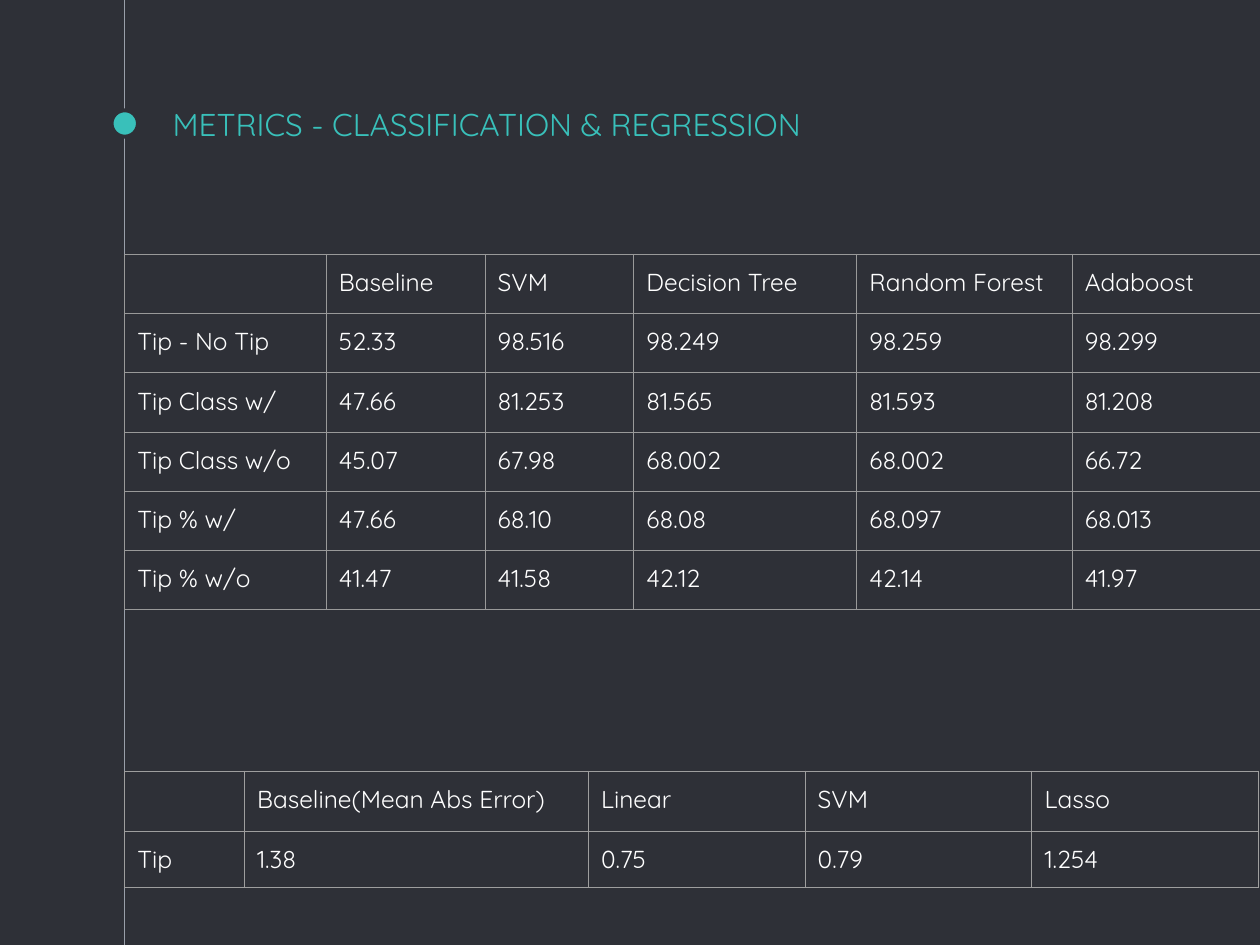
import dataclasses

import lxml.etree
import pptx
import pptx.dml.color
import pptx.enum.shapes
import pptx.enum.text
import pptx.oxml.ns
import pptx.util

Inches = pptx.util.Inches
Pt = pptx.util.Pt
qn = pptx.oxml.ns.qn


@dataclasses.dataclass(frozen=True)
class Theme:
    font: str = "Quicksand"
    background: str = "2E3037"
    accent: str = "39C0BA"
    text: str = "FFFFFF"
    timeline: str = "999FA9"
    classification_grid: str = "999999"
    regression_grid: str = "9E9E9E"
    title_size: float = 18
    table_size: float = 14
    hairline: float = 0.75
    marker_outline: float = 2.25
    inset: float = 0.1


THEME = Theme()
WIDTH, HEIGHT = 10, 7.5
AXIS = 0.99  # the timeline and the left edge of both tables

CLASSIFICATION = [
    ["", "Baseline", "SVM", "Decision Tree", "Random Forest", "Adaboost"],
    ["Tip - No Tip", "52.33", "98.516", "98.249", "98.259", "98.299"],
    ["Tip Class w/", "47.66", "81.253", "81.565", "81.593", "81.208"],
    ["Tip Class w/o", "45.07", "67.98", "68.002", "68.002", "66.72"],
    ["Tip % w/", "47.66", "68.10", "68.08", "68.097", "68.013"],
    ["Tip % w/o", "41.47", "41.58", "42.12", "42.14", "41.97"],
]
REGRESSION = [
    ["", "Baseline(Mean Abs Error)", "Linear", "SVM", "Lasso"],
    ["Tip", "1.38", "0.75", "0.79", "1.254"],
]


def rgb(code):
    return pptx.dml.color.RGBColor.from_string(code)


def set_insets(target):
    for side in ("left", "top", "right", "bottom"):
        setattr(target, f"margin_{side}", Inches(THEME.inset))


def format_runs(paragraph, size, color):
    for run in paragraph.runs:
        run.font.name = THEME.font
        run.font.size = Pt(size)
        run.font.color.rgb = rgb(color)


def add_timeline(slide):
    line = slide.shapes.add_connector(
        pptx.enum.shapes.MSO_CONNECTOR.STRAIGHT,
        Inches(AXIS), 0, Inches(AXIS), Inches(HEIGHT))
    line.line.color.rgb = rgb(THEME.timeline)
    line.line.width = Pt(THEME.hairline)
    properties = line._element.find(qn("p:spPr"))
    lxml.etree.SubElement(properties, qn("a:effectLst"))


def add_marker(slide, middle, diameter):
    marker = slide.shapes.add_shape(
        pptx.enum.shapes.MSO_SHAPE.OVAL,
        Inches(AXIS - diameter / 2), Inches(middle - diameter / 2),
        Inches(diameter), Inches(diameter))
    marker.shadow.inherit = False
    marker.fill.solid()
    marker.fill.fore_color.rgb = rgb(THEME.accent)
    marker.line.color.rgb = rgb(THEME.background)
    marker.line.width = Pt(THEME.marker_outline)


def fill_title(slide, wording):
    title = slide.shapes.title
    title.left, title.top = Inches(1.27), Inches(0.73)
    title.width, title.height = Inches(WIDTH * 0.75), Inches(0.5)
    frame = title.text_frame
    frame.text = wording
    frame.word_wrap = True
    frame.auto_size = pptx.enum.text.MSO_AUTO_SIZE.NONE
    frame.vertical_anchor = pptx.enum.text.MSO_ANCHOR.BOTTOM
    set_insets(frame)
    frame.paragraphs[0].alignment = pptx.enum.text.PP_ALIGN.LEFT
    format_runs(frame.paragraphs[0], THEME.title_size, THEME.accent)


def set_borders(cell, color):
    properties = cell._tc.get_or_add_tcPr()
    for position, side in enumerate("LRTB"):
        border = lxml.etree.Element(
            qn(f"a:ln{side}"), w=str(Pt(THEME.hairline)))
        solid = lxml.etree.SubElement(border, qn("a:solidFill"))
        lxml.etree.SubElement(solid, qn("a:srgbClr"), val=color)
        properties.insert(position, border)


def fill_cell(cell, value, grid_color):
    cell.fill.background()
    set_insets(cell)
    set_borders(cell, grid_color)
    paragraph = cell.text_frame.paragraphs[0]
    if value:
        paragraph.text = value
        format_runs(paragraph, THEME.table_size, THEME.text)
    else:
        # An empty cell needs its size too, or it stretches the row
        lxml.etree.SubElement(paragraph._p, qn("a:endParaRPr"),
                              sz=str(THEME.table_size * 100))


def add_metrics(slide, top, records, column_widths, row_heights, grid_color):
    table = slide.shapes.add_table(
        len(records), len(column_widths), Inches(AXIS), Inches(top),
        Inches(sum(column_widths)), Inches(sum(row_heights))).table
    table.first_row = table.horz_banding = False
    for column, width in zip(table.columns, column_widths):
        column.width = Inches(width)
    for row, height, record in zip(table.rows, row_heights, records):
        row.height = Inches(height)
        for cell, value in zip(row.cells, record):
            fill_cell(cell, value, grid_color)


def main():
    deck = pptx.Presentation()
    deck.slide_width, deck.slide_height = Inches(WIDTH), Inches(HEIGHT)
    slide = deck.slides.add_slide(deck.slide_layouts.get_by_name("Title Only"))
    slide.background.fill.solid()
    slide.background.fill.fore_color.rgb = rgb(THEME.background)

    # Timeline and heading
    add_timeline(slide)
    add_marker(slide, middle=0.98, diameter=0.21)
    fill_title(slide, "METRICS - CLASSIFICATION & REGRESSION")

    # Classification scores, then regression errors
    add_metrics(slide, 2.02, CLASSIFICATION,
                [1.6, 1.26, 1.18, 1.77, 1.71, 1.5],
                [0.47] * len(CLASSIFICATION), THEME.classification_grid)
    add_metrics(slide, 6.12, REGRESSION, [0.95, 2.73, 1.72, 1.8, 1.8],
                [0.48, 0.44], THEME.regression_grid)

    deck.save("out.pptx")


main()
